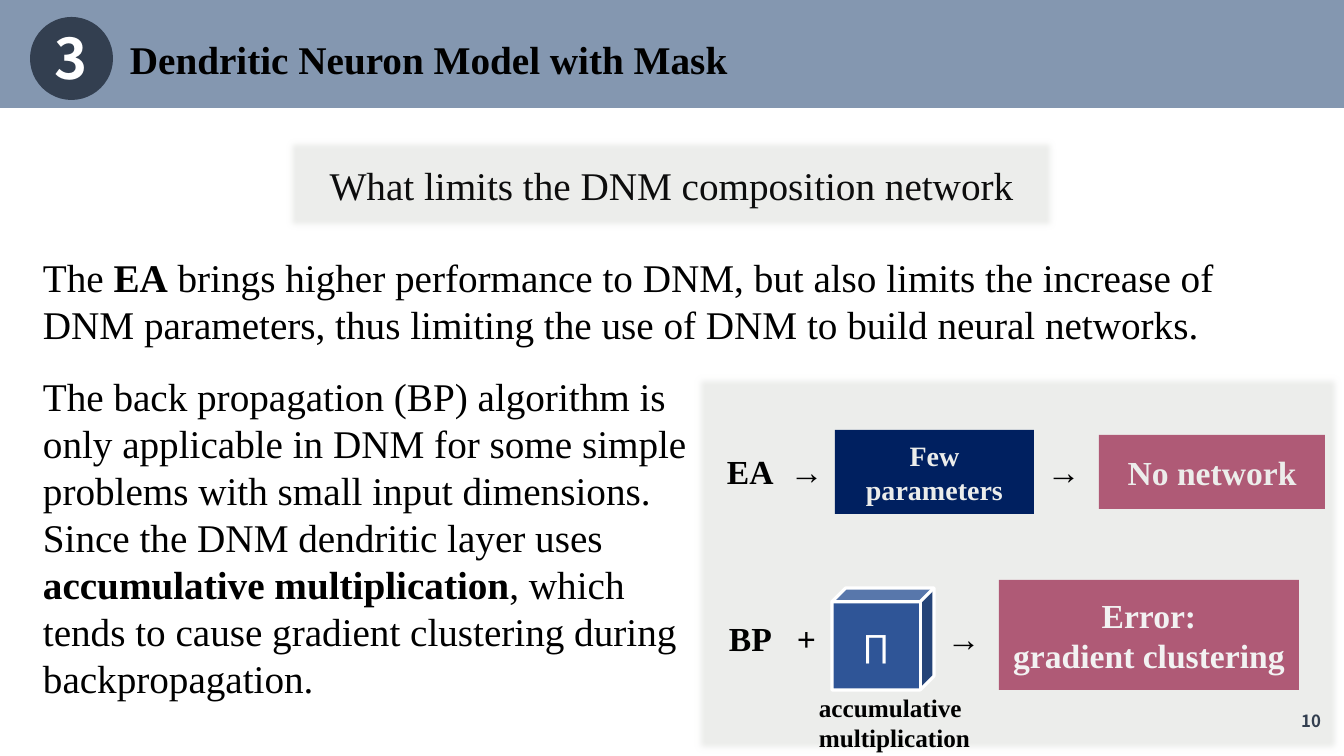
from lxml.etree import SubElement
from pptx import Presentation
from pptx.dml.color import RGBColor as RGB
from pptx.enum.shapes import MSO_SHAPE as SHAPE
from pptx.enum.text import MSO_ANCHOR as ANCHOR, MSO_AUTO_SIZE as AUTO, PP_ALIGN as ALIGN
from pptx.oxml.ns import qn
from pptx.util import Pt

SCALE = 914400 / 100.8
SERIF, SANS = "Times New Roman", "Noto Sans CJK JP"
COLORS = {
    "band": "8497B0", "slate": "333F50", "panel": "ECEDEB", "navy": "002060",
    "rose": "AF5A76", "cube": "2F5597", "white": "FFFFFF", "pale": "F2F2F2",
    "ink": "000000", "caption": "0D0D0D",
}
BODY = {"name": SERIF, "size": Pt(28), "bold": False}
HEAD = {"name": SERIF, "size": Pt(28), "bold": True}
LABEL = {"name": SERIF, "size": Pt(24), "bold": True}
SMALL = {"name": SERIF, "size": Pt(20), "bold": True}
NOTE = {"name": SERIF, "size": Pt(18), "bold": True}
BADGE = {"name": SANS, "size": Pt(40), "bold": True}
SYMBOL = {"name": SANS, "size": Pt(24), "bold": False}
PAGE = {"name": SANS, "size": Pt(12), "bold": True}


def px(n):
    """Turn pixels into EMU."""
    return round(n * SCALE)


def rgb(name):
    """Look up a named colour."""
    return RGB.from_string(COLORS[name])


def add_run(p, text, fmt, color):
    """Append a formatted run to a paragraph."""
    r = p.add_run()
    r.text = text
    for key, value in fmt.items():
        setattr(r.font, key, value)
    r.font.color.rgb = rgb(color)


def write(tf, lines, fmt, color, align=ALIGN.LEFT):
    """Fill a text frame, one paragraph per line, with odd pieces around ** in bold."""
    for i, line in enumerate(lines):
        p = tf.paragraphs[0] if i == 0 else tf.add_paragraph()
        p.alignment = align
        for j, piece in enumerate(line.split("**")):
            add_run(p, piece, {**fmt, "bold": True} if j % 2 else fmt, color)


def add_block(s, kind, box, fill, lines=(), fmt=BODY, color="ink"):
    """Add a filled preset shape with centred text."""
    sp = s.shapes.add_shape(kind, *map(px, box))
    sp.shadow.inherit = False
    sp.fill.solid()
    sp.fill.fore_color.rgb = rgb(fill)
    sp.line.fill.background()
    tf = sp.text_frame
    tf.word_wrap = True
    tf.vertical_anchor = ANCHOR.MIDDLE
    write(tf, lines, fmt, color, ALIGN.CENTER)
    return sp


def add_panel(s, box, lines=()):
    """Add a pale rectangle with soft edges."""
    sp = add_block(s, SHAPE.RECTANGLE, box, "panel", lines, BODY, "caption")
    effects = sp._element.spPr.find(qn("a:effectLst"))
    SubElement(effects, qn("a:softEdge"), rad=str(Pt(5)))


def add_cube(s, box, symbol):
    """Add the outlined cube that stands for the product operator."""
    sp = add_block(s, SHAPE.CUBE, box, "cube", [symbol], SYMBOL, "white")
    sp.adjustments[0] = 0.135
    sp.line.color.rgb = rgb("white")
    sp.line.width = Pt(2.25)


def add_text(s, box, text, fmt, color="ink", align=ALIGN.LEFT, wrap=True,
             anchor=ANCHOR.TOP, auto=AUTO.SHAPE_TO_FIT_TEXT):
    """Add a text box and return its text frame."""
    tf = s.shapes.add_textbox(*map(px, box)).text_frame
    tf.word_wrap = wrap
    tf.vertical_anchor = anchor
    tf.auto_size = auto
    write(tf, [text], fmt, color, align)
    return tf


def add_flow(s, box, parts, stops):
    """Add a row of labels and arrows set on tab stops."""
    p = add_text(s, box, "\t".join(parts), LABEL).paragraphs[0]
    tabs = SubElement(p._p.get_or_add_pPr(), qn("a:tabLst"))
    for stop in stops:
        SubElement(tabs, qn("a:tab"), pos=str(px(stop)), algn="l")


def main():
    """Build the slide and save it."""
    prs = Presentation()
    prs.slide_width, prs.slide_height = px(1344), px(756)
    s = prs.slides.add_slide(prs.slide_layouts[6])

    add_panel(s, (693, 373, 651, 383))
    add_block(s, SHAPE.RECTANGLE, (0, 0, 1344, 108), "band")
    add_block(s, SHAPE.OVAL, (30, 17, 83, 83), "slate")
    add_text(s, (45, 19, 52, 77), "3", BADGE, "white", ALIGN.CENTER, wrap=False)
    add_text(s, (120, 30, 670, 57), "Dendritic Neuron Model with Mask", HEAD)
    add_text(s, (33, 248, 1283, 109),
             "The **EA** brings higher performance to DNM, but also limits the increase of "
             "DNM parameters, thus limiting the use of DNM to build neural networks.",
             BODY, auto=AUTO.NONE)
    add_text(s, (1029, 701, 302, 40), "10", PAGE, "slate", ALIGN.RIGHT,
             anchor=ANCHOR.MIDDLE, auto=AUTO.NONE)
    add_panel(s, (285, 137, 773, 95), ["What limits the DNM composition network"])

    add_cube(s, (832, 588, 102, 102), "∏")
    add_block(s, SHAPE.RECTANGLE, (999, 580, 300, 110), "rose",
              ["Error:", "gradient clustering"], LABEL, "pale")
    add_flow(s, (719, 613, 394, 50), ["BP", "+", "→"], (68, 218))
    add_flow(s, (717, 446, 377, 50), ["EA", "→", "→"], (63, 320))
    add_block(s, SHAPE.RECTANGLE, (835, 430, 199, 84), "navy", ["Few parameters"], SMALL, "panel")
    add_block(s, SHAPE.RECTANGLE, (1099, 435, 226, 74), "rose", ["No network"], LABEL, "panel")

    add_text(s, (33, 367, 670, 343),
             "The back propagation (BP) algorithm is only applicable in DNM for some simple "
             "problems with small input dimensions. Since the DNM dendritic layer uses "
             "**accumulative multiplication**, which tends to cause gradient clustering "
             "during backpropagation.", BODY)
    add_text(s, (809, 687, 172, 72), "accumulative multiplication", NOTE)
    prs.save("out.pptx")


if __name__ == "__main__":
    main()
